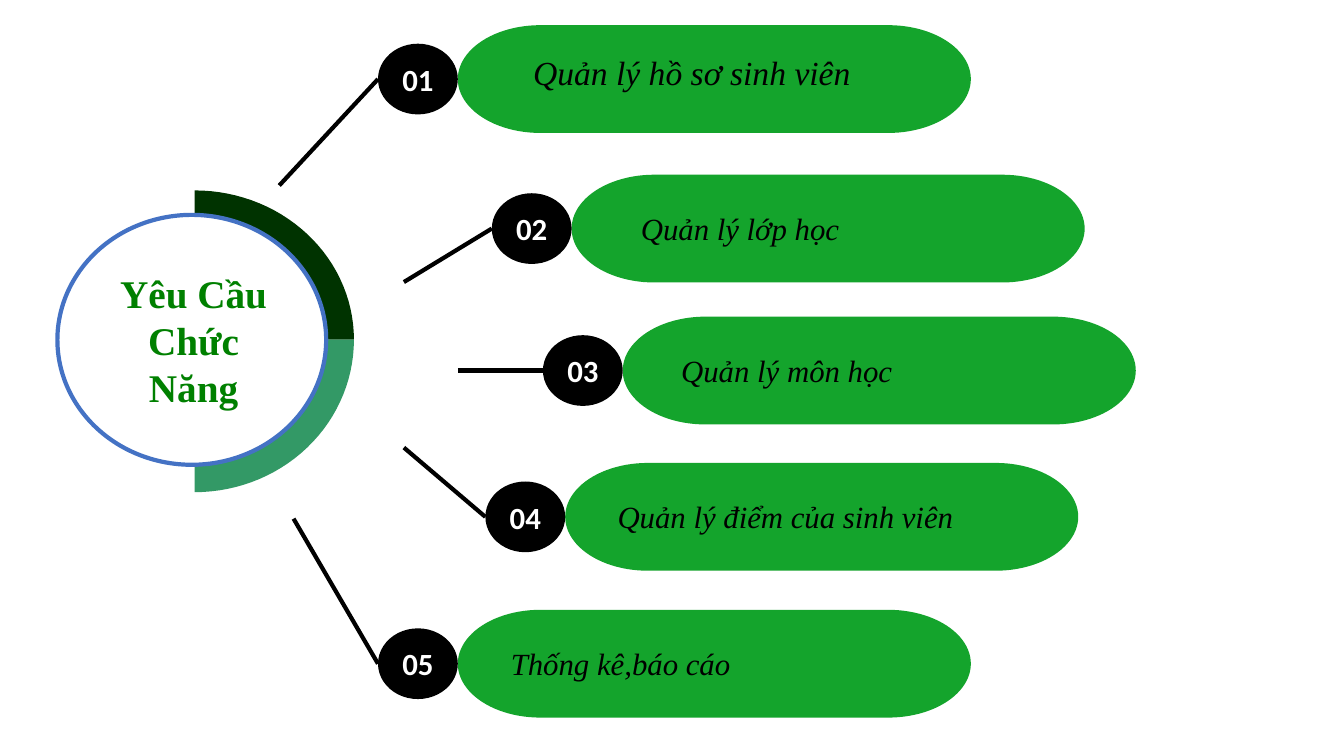
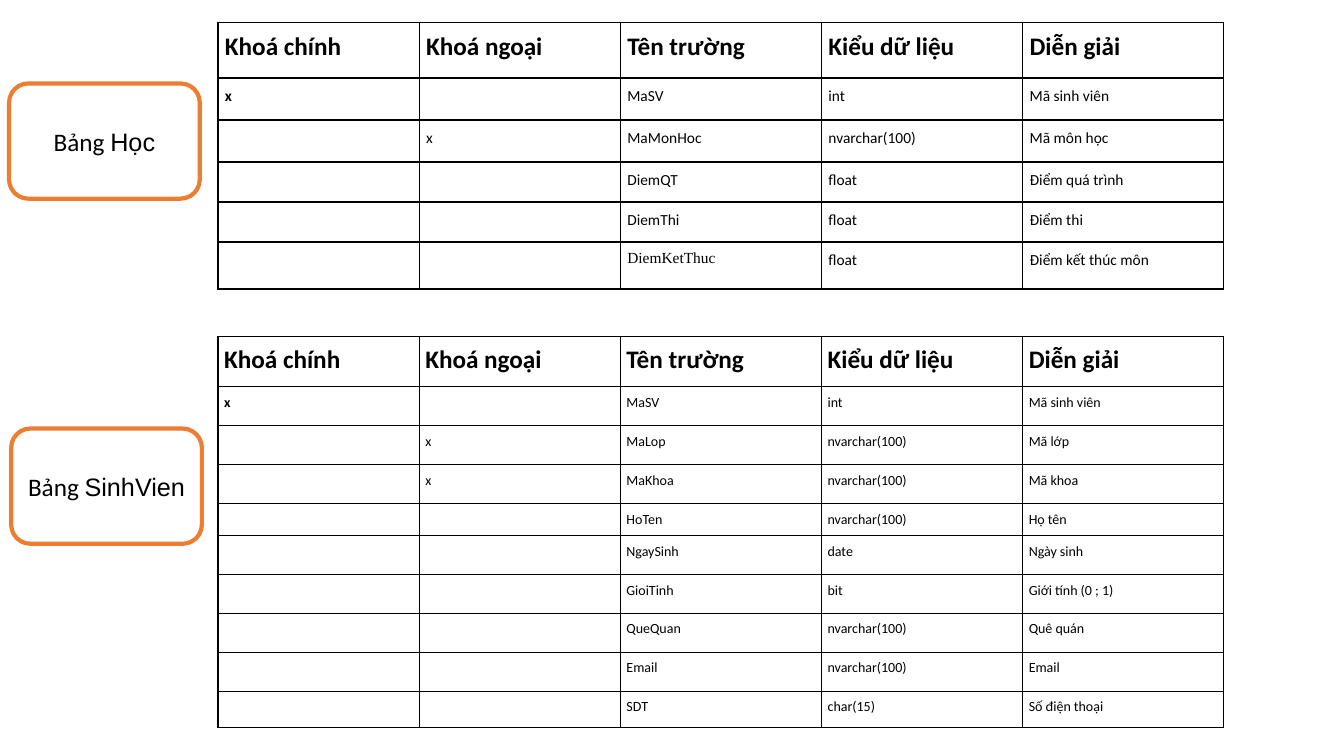
import math
from dataclasses import dataclass

import lxml.etree
import pptx
import pptx.dml.color
import pptx.enum.shapes
import pptx.enum.text
import pptx.oxml.ns
import pptx.presentation
import pptx.shapes.autoshape
import pptx.shapes.base
import pptx.slide
import pptx.table
import pptx.text.text
import pptx.util

Pt = pptx.util.Pt
RGBColor = pptx.dml.color.RGBColor
MSO_SHAPE = pptx.enum.shapes.MSO_SHAPE
PP_ALIGN = pptx.enum.text.PP_ALIGN
qn = pptx.oxml.ns.qn

BLACK = RGBColor(0x00, 0x00, 0x00)
WHITE = RGBColor(0xFF, 0xFF, 0xFF)
BLUE = RGBColor(0x44, 0x72, 0xC4)
ORANGE = RGBColor(0xED, 0x7D, 0x31)
PILL_GREEN = RGBColor(0x14, 0xA4, 0x2C)
TITLE_GREEN = RGBColor(0x00, 0x80, 0x00)
DARK_GREEN = RGBColor(0x00, 0x33, 0x00)
SEA_GREEN = RGBColor(0x33, 0x99, 0x66)

SANS = "Calibri"
SERIF = "Times New Roman"
LABEL_FONT = "Arial"

OUTLINE_WIDTH = 3
PILL_WIDTH, PILL_HEIGHT = 366.5, 77
BADGE_WIDTH, BADGE_HEIGHT = 57, 50.5
ARC_CENTER_X, ARC_CENTER_Y, ARC_RADIUS_X = 139, 242.6, 113.8
ARC_STEPS = 30

TABLE_LEFT = 155.7
COLUMN_WIDTH = 143.7
HEADER_SIZE = 18
HEADERS = ("Khoá chính", "Khoá ngoại", "Tên trường", "Kiểu dữ liệu", "Diễn giải")
SERIF_FIELDS = {"DiemKetThuc"}


@dataclass(frozen=True)
class Box:
    left: float
    top: float
    width: float
    height: float

    def lengths(self) -> tuple[pptx.util.Length, ...]:
        return Pt(self.left), Pt(self.top), Pt(self.width), Pt(self.height)


@dataclass(frozen=True)
class TextStyle:
    size: float
    color: RGBColor = BLACK
    font: str = SANS
    bold: bool = False
    italic: bool = False


@dataclass(frozen=True)
class Requirement:
    text: str
    pill_left: float
    pill_top: float
    line_start: tuple[float, float]
    text_box: Box
    size: float = 22


@dataclass(frozen=True)
class DataTable:
    name: str
    label_box: Box
    top: float
    margin: float
    body_size: float
    row_heights: tuple[float, ...]
    rows: tuple[tuple[str, ...], ...]


REQUIREMENTS = (
    Requirement("Quản lý hồ sơ sinh viên", 327, 18, (199.5, 132.5),
                Box(373.7, 33.8, 316, 36), 24),
    Requirement("Quản lý lớp học", 408.3, 124.8, (288.5, 201.5),
                Box(450.7, 146.2, 319, 34)),
    Requirement("Quản lý môn học", 444.8, 226.2, (327, 264.7),
                Box(479.5, 247.7, 269, 34)),
    Requirement("Quản lý điểm của sinh viên", 403.7, 330.7, (288.5, 319.7),
                Box(434, 352.3, 315, 34)),
    Requirement("Thống kê,báo cáo", 327, 435.6, (209.7, 370.5),
                Box(357.8, 457, 305, 34)),
)

TABLES = (
    DataTable(
        "Học", Box(6.5, 59.6, 136.2, 82.3), 16, 5, 11,
        (39.7, 30, 30, 28.6, 28.6, 33.6),
        (
            ("x", "", "MaSV", "int", "Mã sinh viên"),
            ("", "x", "MaMonHoc", "nvarchar(100)", "Mã môn học"),
            ("", "", "DiemQT", "float", "Điểm quá trình"),
            ("", "", "DiemThi", "float", "Điểm thi"),
            ("", "", "DiemKetThuc", "float", "Điểm kết thúc môn"),
        ),
    ),
    DataTable(
        "SinhVien", Box(8, 306.1, 136.2, 82.3), 240.5, 4.4, 10,
        (35.8, 27.8, 27.8, 27.8, 23, 27.8, 27.8, 27.8, 27.8, 26),
        (
            ("x", "", "MaSV", "int", "Mã sinh viên"),
            ("", "x", "MaLop", "nvarchar(100)", "Mã lớp"),
            ("", "x", "MaKhoa", "nvarchar(100)", "Mã khoa"),
            ("", "", "HoTen", "nvarchar(100)", "Họ tên"),
            ("", "", "NgaySinh", "date", "Ngày sinh"),
            ("", "", "GioiTinh", "bit", "Giới tính (0 ; 1)"),
            ("", "", "QueQuan", "nvarchar(100)", "Quê quán"),
            ("", "", "Email", "nvarchar(100)", "Email"),
            ("", "", "SDT", "char(15)", "Số điện thoại"),
        ),
    ),
)


def style_run(run: pptx.text.text._Run, style: TextStyle) -> None:
    run.font.name = style.font
    run.font.size = Pt(style.size)
    run.font.bold = style.bold
    run.font.italic = style.italic
    run.font.color.rgb = style.color


def write_text(text_frame: pptx.text.text.TextFrame, text: str, style: TextStyle,
               alignment: PP_ALIGN = PP_ALIGN.LEFT) -> None:
    text_frame.text = text
    paragraph = text_frame.paragraphs[0]
    paragraph.alignment = alignment
    for run in paragraph.runs:
        style_run(run, style)


def paint(shape: pptx.shapes.autoshape.Shape, fill: RGBColor,
          outline: RGBColor | None = None) -> None:
    shape.shadow.inherit = False
    shape.fill.solid()
    shape.fill.fore_color.rgb = fill
    if outline is None:
        shape.line.fill.background()
    else:
        shape.line.color.rgb = outline
        shape.line.width = Pt(OUTLINE_WIDTH)


def add_shape(slide: pptx.slide.Slide, kind: MSO_SHAPE, box: Box, fill: RGBColor,
              outline: RGBColor | None = None) -> pptx.shapes.autoshape.Shape:
    shape = slide.shapes.add_shape(kind, *box.lengths())
    paint(shape, fill, outline)
    return shape


def add_text(slide: pptx.slide.Slide, box: Box, text: str, style: TextStyle,
             alignment: PP_ALIGN = PP_ALIGN.LEFT) -> None:
    text_frame = slide.shapes.add_textbox(*box.lengths()).text_frame
    text_frame.word_wrap = True
    write_text(text_frame, text, style, alignment)


def add_line(slide: pptx.slide.Slide, start: tuple[float, float],
             end: tuple[float, float]) -> None:
    connector = slide.shapes.add_connector(
        pptx.enum.shapes.MSO_CONNECTOR.STRAIGHT, *map(Pt, start + end))
    connector.line.color.rgb = BLACK
    connector.line.width = Pt(OUTLINE_WIDTH)
    lxml.etree.SubElement(connector._element.spPr, qn("a:effectLst"))


def add_quarter(slide: pptx.slide.Slide, radius_y: float, color: RGBColor) -> None:
    """Draw a right-hand quarter ellipse; a negative radius_y points it upwards."""
    angles = [step * math.pi / 2 / ARC_STEPS for step in range(ARC_STEPS + 1)]
    arc = [(Pt(ARC_CENTER_X + ARC_RADIUS_X * math.cos(angle)),
            Pt(ARC_CENTER_Y + radius_y * math.sin(angle))) for angle in angles]
    builder = slide.shapes.build_freeform(Pt(ARC_CENTER_X), Pt(ARC_CENTER_Y), scale=1.0)
    builder.add_line_segments(arc, close=True)
    paint(builder.convert_to_shape(), color)


def add_requirement(slide: pptx.slide.Slide, number: int, item: Requirement) -> None:
    """Draw the pill, its line and its numbered badge."""
    middle = item.pill_top + PILL_HEIGHT / 2
    badge_left = item.pill_left - BADGE_WIDTH
    add_shape(slide, MSO_SHAPE.FLOWCHART_TERMINATOR,
              Box(item.pill_left, item.pill_top, PILL_WIDTH, PILL_HEIGHT), PILL_GREEN)
    add_line(slide, item.line_start, (badge_left, middle))
    badge = add_shape(
        slide, MSO_SHAPE.FLOWCHART_CONNECTOR,
        Box(badge_left, middle - BADGE_HEIGHT / 2, BADGE_WIDTH, BADGE_HEIGHT), BLACK)
    write_text(badge.text_frame, f"{number:02}", TextStyle(22, WHITE, bold=True),
               PP_ALIGN.CENTER)


def build_requirements_slide(slide: pptx.slide.Slide) -> None:
    add_quarter(slide, -106.6, DARK_GREEN)
    add_quarter(slide, 109, SEA_GREEN)
    add_shape(slide, MSO_SHAPE.OVAL, Box(41, 153.5, 192, 178.5), WHITE, BLUE)
    for number, item in enumerate(REQUIREMENTS, start=1):
        add_requirement(slide, number, item)
    add_text(slide, Box(72, 188.8, 132.5, 108.7), "Yêu Cầu Chức Năng",
             TextStyle(28, TITLE_GREEN, SERIF, bold=True), PP_ALIGN.CENTER)
    for item in REQUIREMENTS:
        add_text(slide, item.text_box, item.text,
                 TextStyle(item.size, font=SERIF, italic=True))


def add_borders(cell: pptx.table._Cell) -> None:
    properties = cell._tc.get_or_add_tcPr()
    for side in ("a:lnL", "a:lnR", "a:lnT", "a:lnB"):
        line = lxml.etree.SubElement(properties, qn(side), w=str(Pt(1)))
        fill = lxml.etree.SubElement(line, qn("a:solidFill"))
        lxml.etree.SubElement(fill, qn("a:srgbClr"), val=str(BLACK))


def fill_cell(cell: pptx.table._Cell, text: str, style: TextStyle, margin: float) -> None:
    add_borders(cell)
    cell.fill.solid()
    cell.fill.fore_color.rgb = WHITE
    cell.margin_left = cell.margin_right = Pt(margin)
    cell.margin_top = cell.margin_bottom = Pt(margin)
    write_text(cell.text_frame, text, style)
    paragraph = cell.text_frame.paragraphs[0]
    paragraph.line_spacing = 1.07
    if not text:
        # An empty cell would otherwise take the default size and stretch its row.
        lxml.etree.SubElement(paragraph._p, qn("a:endParaRPr"), sz=str(style.size * 100))


def add_data_table(slide: pptx.slide.Slide, data: DataTable) -> None:
    box = Box(TABLE_LEFT, data.top, COLUMN_WIDTH * len(HEADERS), sum(data.row_heights))
    table = slide.shapes.add_table(
        len(data.row_heights), len(HEADERS), *box.lengths()).table
    table.first_row = table.horz_banding = False
    for column in table.columns:
        column.width = Pt(COLUMN_WIDTH)
    for row, height in zip(table.rows, data.row_heights):
        row.height = Pt(height)
    for row_index, texts in enumerate((HEADERS, *data.rows)):
        is_header = row_index == 0
        for column_index, text in enumerate(texts):
            style = TextStyle(
                HEADER_SIZE if is_header else data.body_size,
                font=SERIF if text in SERIF_FIELDS else SANS,
                bold=is_header or column_index == 0)
            fill_cell(table.cell(row_index, column_index), text, style, data.margin)


def add_table_label(slide: pptx.slide.Slide, data: DataTable) -> None:
    label = add_shape(slide, MSO_SHAPE.ROUNDED_RECTANGLE, data.label_box, WHITE, ORANGE)
    write_text(label.text_frame, "Bảng ", TextStyle(18), PP_ALIGN.CENTER)
    name_run = label.text_frame.paragraphs[0].add_run()
    name_run.text = data.name
    style_run(name_run, TextStyle(18, font=LABEL_FONT))


def build_tables_slide(slide: pptx.slide.Slide) -> None:
    for data in TABLES:
        add_data_table(slide, data)
    for data in TABLES:
        add_table_label(slide, data)


def main() -> None:
    presentation = pptx.Presentation()
    presentation.slide_width = Pt(960)
    presentation.slide_height = Pt(540)
    blank_layout = presentation.slide_layouts[6]
    for build in (build_requirements_slide, build_tables_slide):
        build(presentation.slides.add_slide(blank_layout))
    presentation.save("out.pptx")


if __name__ == "__main__":
    main()
